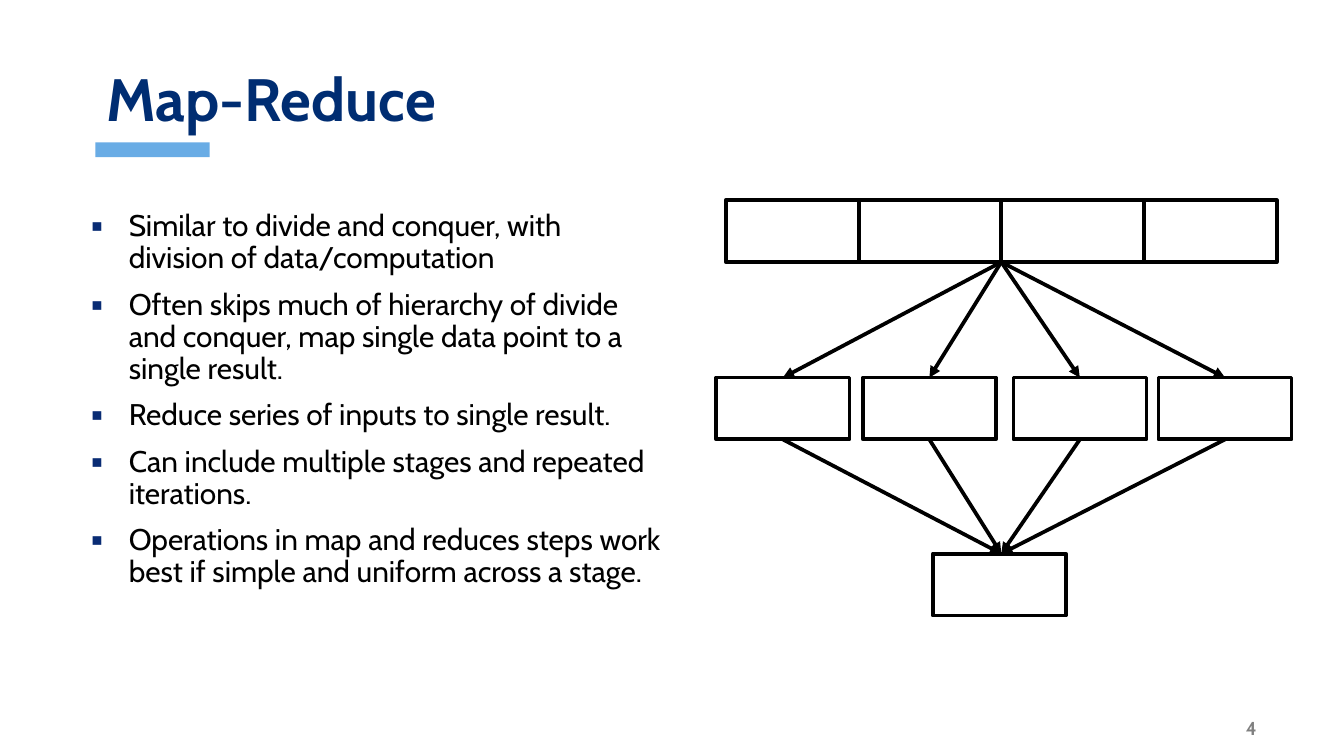
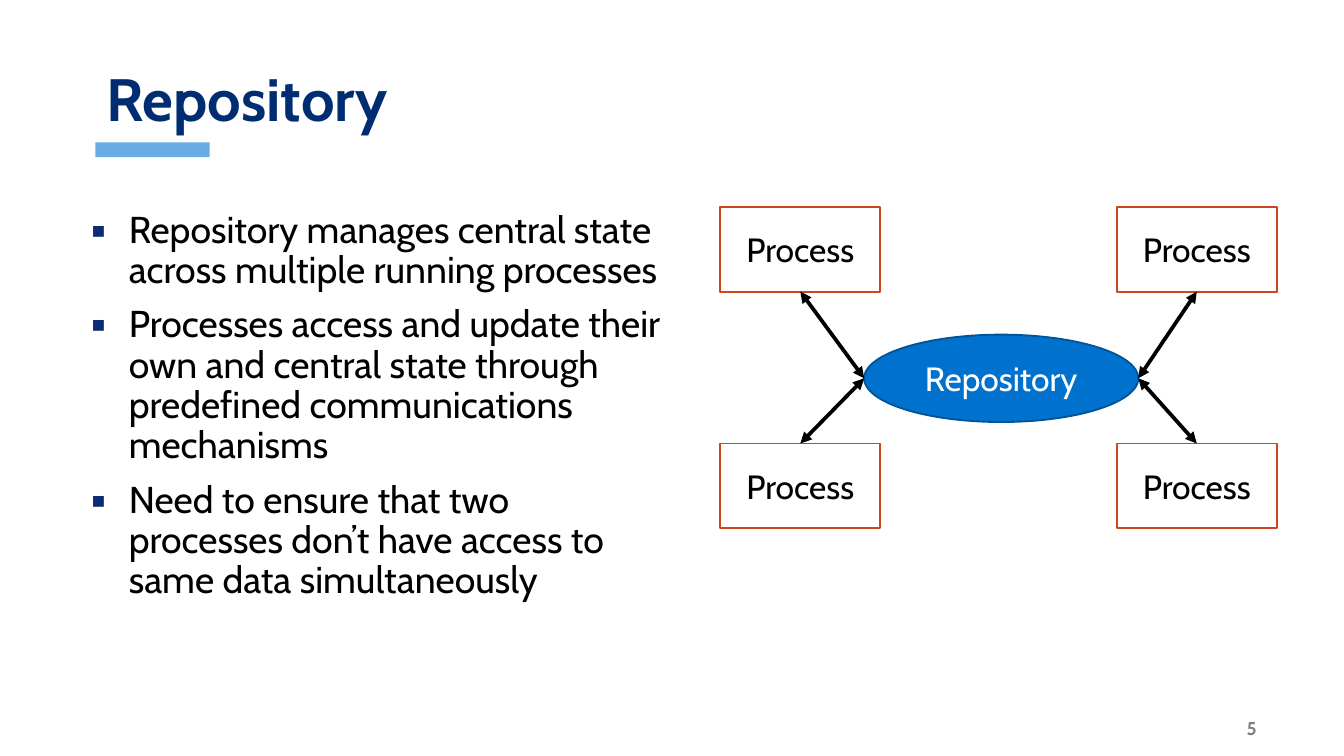
from itertools import pairwise

from lxml.etree import SubElement
from pptx import Presentation
from pptx.dml.color import RGBColor
from pptx.enum.shapes import MSO_CONNECTOR, MSO_SHAPE
from pptx.enum.text import MSO_ANCHOR, PP_ALIGN
from pptx.oxml.ns import qn
from pptx.util import Inches, Pt

FONT = "Cabin"
NAVY, BULLET_NAVY, SKY, BLUE, DEEP_BLUE = "002D72", "092C74", "69ACE5", "0072CE", "005498"
ORANGE, GRAY, BLACK, WHITE = "CF4520", "808080", "000000", "FFFFFF"


def color(value):
    return RGBColor.from_string(value)


class Deck:
    """Holds the shared style and the slide being drawn."""

    def __init__(self):
        self.prs = Presentation()
        self.prs.slide_width, self.prs.slide_height = Inches(10), Inches(5.625)
        self.slide = None

    def new_slide(self, title, number):
        self.slide = self.prs.slides.add_slide(self.prs.slide_layouts[5])
        self.box(0.71, 1.06, 0.85, 0.11, fill=SKY, kind=MSO_SHAPE.RECTANGLE)

        # Slide number
        frame = self.text_frame(8.63, 5.32, 0.87, 0.19)
        frame.vertical_anchor = MSO_ANCHOR.MIDDLE
        frame.margin_top = frame.margin_bottom = 0
        frame.margin_right = Inches(0.15)
        frame.paragraphs[0].alignment = PP_ALIGN.RIGHT
        self.run(frame.paragraphs[0], str(number), 10, GRAY, bold=True)

        # Title
        heading = self.slide.shapes.title
        heading.left, heading.top = Inches(0.69), Inches(0.47)
        heading.width, heading.height = Inches(8.62), Inches(0.6)
        frame = heading.text_frame
        frame.vertical_anchor = MSO_ANCHOR.TOP
        paragraph = frame.paragraphs[0]
        paragraph.alignment, paragraph.line_spacing = PP_ALIGN.LEFT, 0.9
        self.run(paragraph, title, 32, NAVY, bold=True)

    def run(self, paragraph, text, size, ink, bold=False):
        run = paragraph.add_run()
        run.text = text
        run.font.name, run.font.size, run.font.bold = FONT, Pt(size), bold
        run.font.color.rgb = color(ink)

    def text_frame(self, left, top, width, height):
        area = self.slide.shapes.add_textbox(
            Inches(left), Inches(top), Inches(width), Inches(height))
        area.text_frame.word_wrap = True
        return area.text_frame

    def bullets(self, points, size):
        frame = self.text_frame(0.58, 1.52, 4.42, 3.37)
        frame.margin_right = Inches(0.08)
        for index, point in enumerate(points):
            paragraph = frame.add_paragraph() if index else frame.paragraphs[0]
            paragraph.line_spacing = 0.9
            paragraph.space_before = Pt(7.5 if index else 0)
            props = paragraph._p.get_or_add_pPr()
            props.set("marL", str(Inches(0.28)))
            props.set("indent", str(-Inches(0.28)))
            SubElement(SubElement(props, qn("a:buClr")), qn("a:srgbClr"), val=BULLET_NAVY)
            SubElement(props, qn("a:buFont"), typeface=FONT)
            SubElement(props, qn("a:buChar"), char="▪")
            self.run(paragraph, point, size, BLACK)

    def box(self, left, top, width, height, fill=WHITE, line=None, weight=1,
            label="", ink=BLACK, kind=MSO_SHAPE.FLOWCHART_PROCESS):
        shape = self.slide.shapes.add_shape(
            kind, Inches(left), Inches(top), Inches(width), Inches(height))
        shape.shadow.inherit = False
        shape.fill.solid()
        shape.fill.fore_color.rgb = color(fill)
        if line:
            shape.line.color.rgb = color(line)
            shape.line.width = Pt(weight)
        else:
            shape.line.fill.background()
        if label:
            frame = shape.text_frame
            frame.vertical_anchor = MSO_ANCHOR.MIDDLE
            frame.paragraphs[0].alignment = PP_ALIGN.CENTER
            self.run(frame.paragraphs[0], label, 18, ink)

    def arrow(self, start, end, both_ways=False):
        link = self.slide.shapes.add_connector(
            MSO_CONNECTOR.STRAIGHT, *(Inches(value) for value in (*start, *end)))
        link.line.color.rgb = color(BLACK)
        link.line.width = Pt(2)
        outline = link.line._get_or_add_ln()
        for tip in ("a:headEnd", "a:tailEnd") if both_ways else ("a:tailEnd",):
            SubElement(outline, qn(tip), type="triangle")
        SubElement(link._element.spPr, qn("a:effectLst"))


def map_reduce(deck):
    deck.new_slide("Map-Reduce", 4)
    deck.bullets([
        "Similar to divide and conquer, with division of data/computation",
        "Often skips much of hierarchy of divide and conquer, map single data point "
        "to a single result.",
        "Reduce series of inputs to single result.",
        "Can include multiple stages and repeated iterations.",
        "Operations in map and reduces steps work best if simple and uniform across a stage.",
    ], 16)

    cell_width, cell_height, center = 0.99, 0.46, 7.45
    data_top, map_top, result_top = 1.49, 2.81, 4.12

    # Input data, split into four parts
    for left, right in pairwise((5.4, 6.39, center, 8.51, 9.5)):
        deck.box(left, data_top, right - left, cell_height, line=BLACK, weight=2)

    # Map steps and the reduced result
    map_lefts = (5.33, 6.42, 7.54, 8.62)
    for left in map_lefts:
        deck.box(left, map_top, cell_width, cell_height, line=BLACK, weight=2)
    deck.box(6.94, result_top, cell_width, cell_height, line=BLACK, weight=2)

    # Flow from data through the map steps to the result
    for left in map_lefts:
        middle = left + cell_width / 2
        deck.arrow((center, data_top + cell_height), (middle, map_top))
        deck.arrow((middle, map_top + cell_height), (center, result_top))


def repository(deck):
    deck.new_slide("Repository", 5)
    deck.bullets([
        "Repository manages central state across multiple running processes",
        "Processes access and update their own and central state through predefined "
        "communications mechanisms",
        "Need to ensure that two processes don’t have access to same data simultaneously",
    ], 20)

    # Central store
    store_left, store_top, store_width, store_height = 6.43, 2.49, 2.04, 0.65
    deck.box(store_left, store_top, store_width, store_height, fill=BLUE, line=DEEP_BLUE,
             label="Repository", ink=WHITE, kind=MSO_SHAPE.OVAL)
    store_middle = store_top + store_height / 2

    # Processes around it, each linked both ways to the nearer side
    width, height = 1.19, 0.63
    for top, link_y in ((1.54, 1.54 + height), (3.3, 3.3)):
        for left, store_side in ((5.36, store_left), (8.31, store_left + store_width)):
            deck.box(left, top, width, height, line=ORANGE, label="Process")
            deck.arrow((left + width / 2, link_y), (store_side, store_middle), both_ways=True)


def main():
    deck = Deck()
    map_reduce(deck)
    repository(deck)
    deck.prs.save("out.pptx")


if __name__ == "__main__":
    main()
